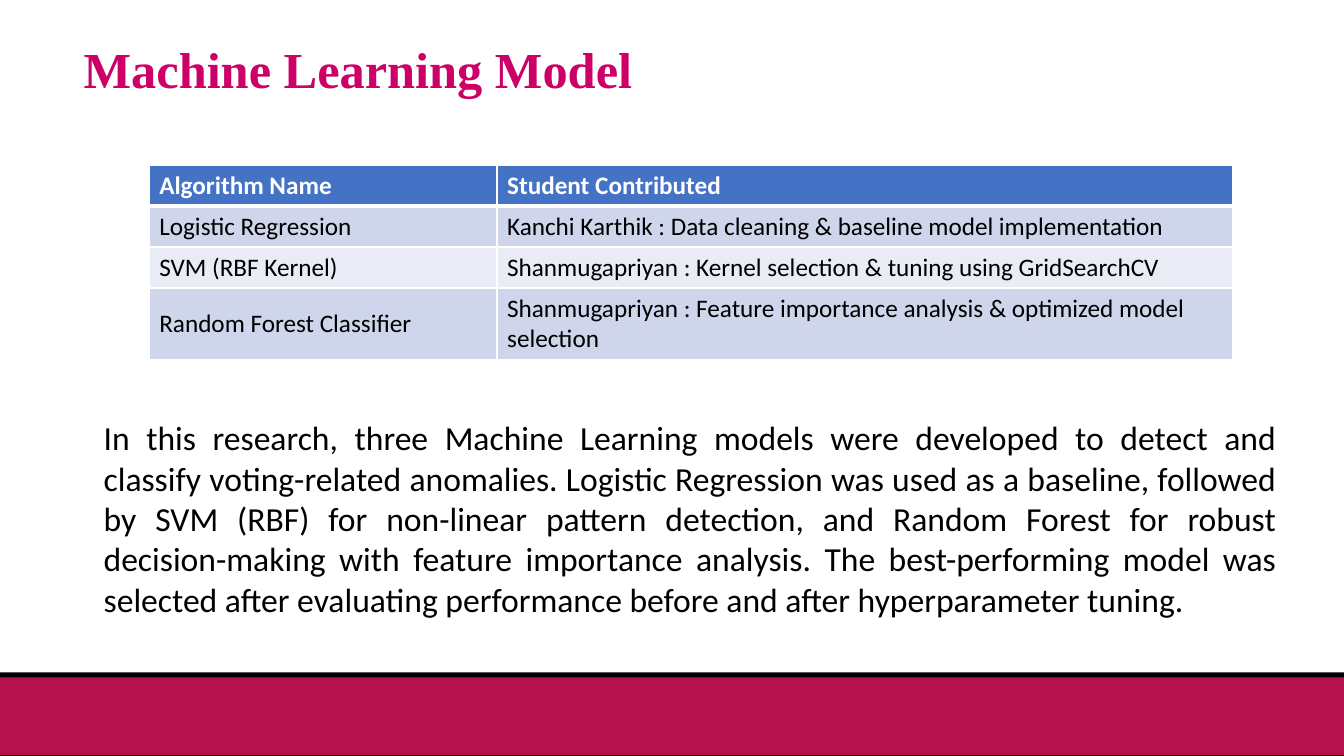
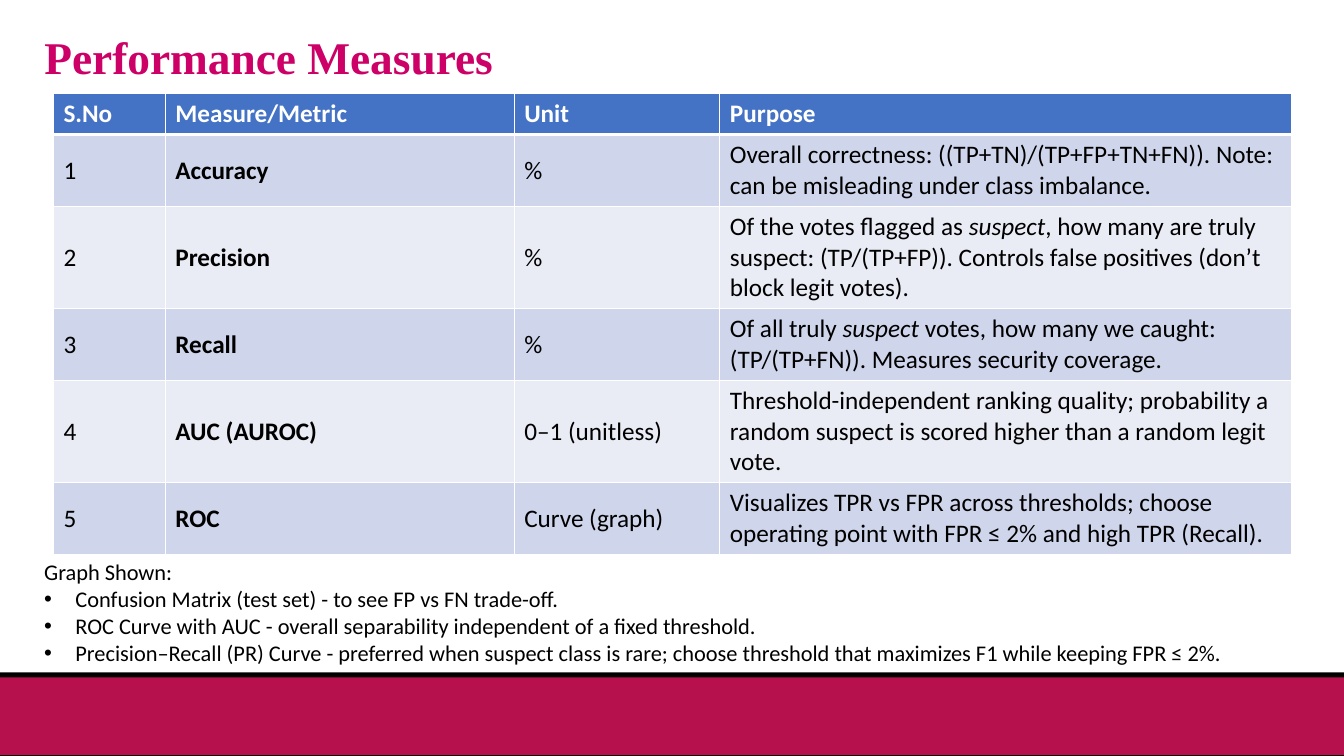
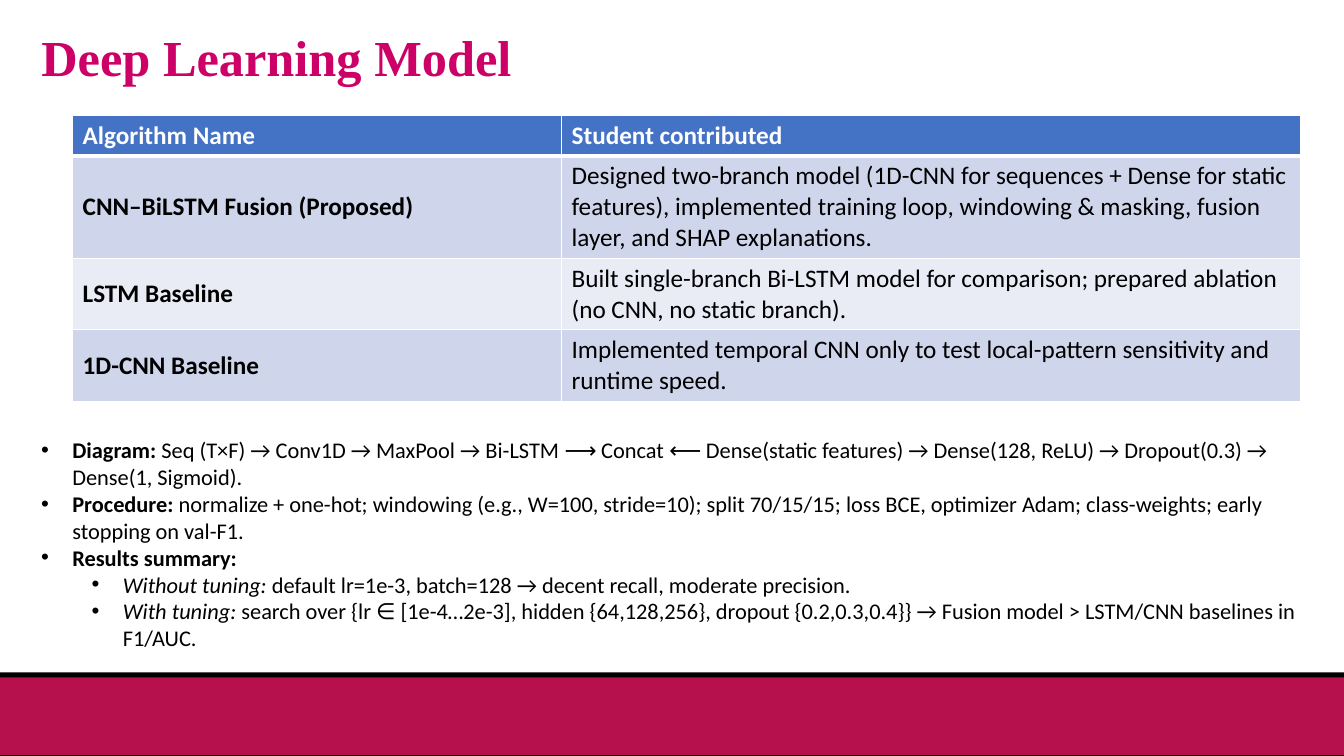
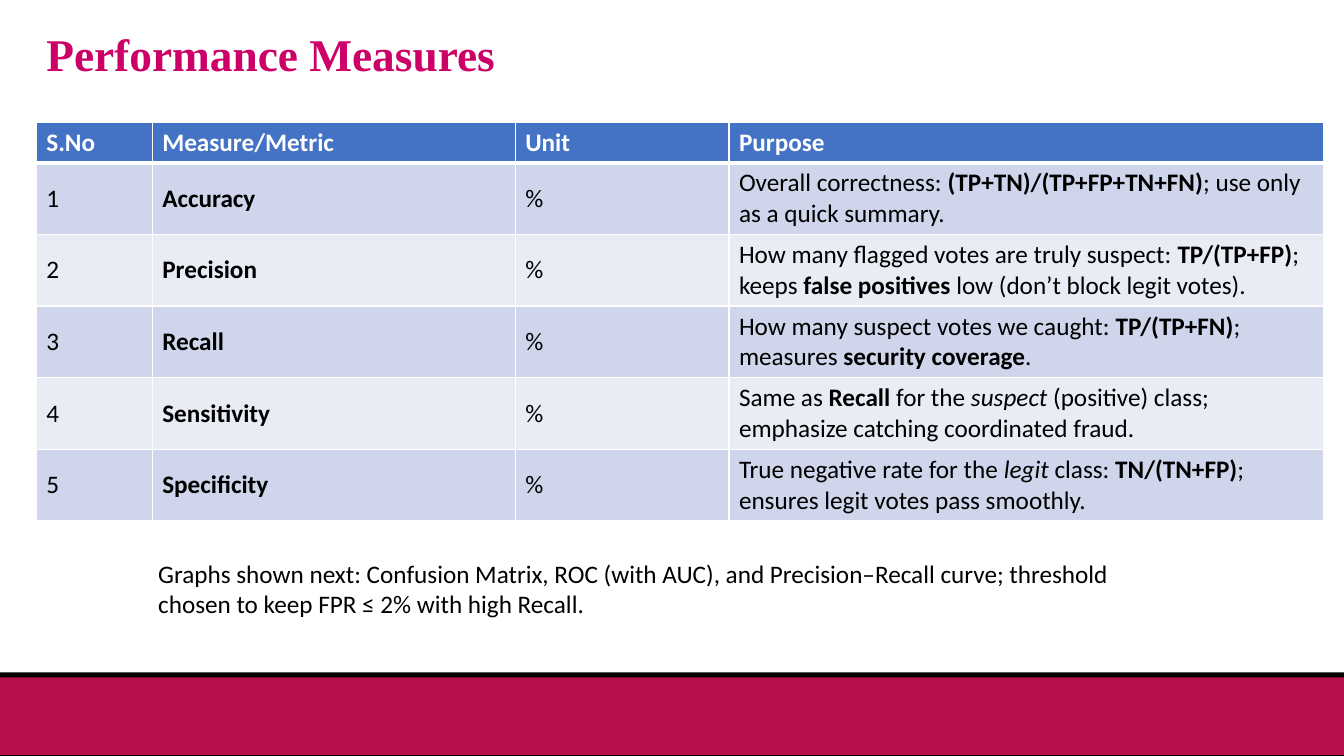
from lxml import etree
from pptx import Presentation
from pptx import util as u
from pptx.dml.color import RGBColor
from pptx.enum import shapes, text
from pptx.oxml import ns

COLOURS = {
    "title": "CC0066",
    "rule": "000000",
    "band": "B6114D",
    "header": "4472C4",
    "odd": "CFD5EA",
    "even": "E9EBF5",
    "white": "FFFFFF",
    "text": "000000",
}
BODY_FONT = "Calibri"
TITLE_FONT = "Times New Roman"
TABLE_SIZE = 18


def colour(name):
    return RGBColor.from_string(COLOURS[name])


class Deck:
    """Holds the shared style and the current slide."""

    def __init__(self):
        self.presentation = Presentation()
        self.presentation.slide_width = u.Inches(13.33)
        self.presentation.slide_height = u.Inches(7.5)
        self.slide = None

    def add_slide(self, title, left, top, height, size):
        first = self.slide is None
        self.slide = self.presentation.slides.add_slide(self.presentation.slide_layouts[5])
        if first:
            self.add_footer()
        shape = self.slide.shapes.title
        shape.left, shape.top = u.Inches(left), u.Inches(top)
        shape.width, shape.height = u.Inches(11.5), u.Inches(height)
        shape.text_frame.vertical_anchor = text.MSO_ANCHOR.MIDDLE
        paragraph = shape.text_frame.paragraphs[0]
        paragraph.alignment = text.PP_ALIGN.LEFT
        paragraph.line_spacing = 0.9
        self.add_words(paragraph, title, size, "title", TITLE_FONT, bold=True)

    def add_footer(self):
        """Draw the footer bands and move them to the master, behind all else."""
        tree = self.presentation.slide_master.element.cSld.spTree
        bands = (("rule", 6.67, 0.84), ("band", 6.72, 0.77))
        for position, (name, top, height) in enumerate(bands, start=2):
            shape = self.slide.shapes.add_shape(
                shapes.MSO_SHAPE.RECTANGLE, 0, u.Inches(top),
                self.presentation.slide_width, u.Inches(height))
            shape.shadow.inherit = False
            shape.fill.solid()
            shape.fill.fore_color.rgb = colour(name)
            shape.line.fill.background()
            tree.insert(position, shape.element)

    def add_words(self, paragraph, words, size, ink="text", font=BODY_FONT, bold=False):
        """Fill a paragraph; *stars* mark bold and _underscores_ mark italic."""
        paragraph.font.name = font
        paragraph.font.size = u.Pt(size)
        paragraph.font.color.rgb = colour(ink)
        paragraph.font.bold = bold
        for star, part in enumerate(words.split("*")):
            for underscore, piece in enumerate(part.split("_")):
                if piece:
                    run = paragraph.add_run()
                    run.text = piece
                    if star % 2:
                        run.font.bold = True
                    if underscore % 2:
                        run.font.italic = True

    def add_text(self, left, top, width, height, lines, size, alignment=None):
        """Each line is (words, bullet level), with None for no bullet."""
        box = self.slide.shapes.add_textbox(
            u.Inches(left), u.Inches(top), u.Inches(width), u.Inches(height))
        frame = box.text_frame
        frame.word_wrap = True
        frame.auto_size = text.MSO_AUTO_SIZE.SHAPE_TO_FIT_TEXT
        for number, (words, level) in enumerate(lines):
            paragraph = frame.add_paragraph() if number else frame.paragraphs[0]
            paragraph.alignment = alignment
            self.add_words(paragraph, words, size)
            if level is not None:
                self.add_bullet(paragraph, level)

    def add_bullet(self, paragraph, level):
        paragraph.level = level
        properties = paragraph._p.get_or_add_pPr()
        properties.set("marL", str(u.Inches(0.31 + 0.5 * level)))
        properties.set("indent", str(-u.Inches(0.31)))
        font = etree.Element(ns.qn("a:buFont"), typeface="Arial")
        mark = etree.Element(ns.qn("a:buChar"), char="•")
        properties.insert(0, font)
        font.addnext(mark)

    def add_table(self, left, top, widths, line_counts, rows):
        """The first row is the header; line_counts sets the row heights."""
        heights = [u.Inches(0.1 + 0.305 * count) for count in line_counts]
        table = self.slide.shapes.add_table(
            len(rows), len(widths), u.Inches(left), u.Inches(top),
            u.Inches(sum(widths)), sum(heights)).table
        for column, width in zip(table.columns, widths):
            column.width = u.Inches(width)
        for row_number, (row, height, values) in enumerate(zip(table.rows, heights, rows)):
            row.height = height
            header = row_number == 0
            fill = "header" if header else "odd" if row_number % 2 else "even"
            for cell, value in zip(row.cells, values):
                cell.vertical_anchor = text.MSO_ANCHOR.MIDDLE
                self.add_borders(cell, row_number)
                cell.fill.solid()
                cell.fill.fore_color.rgb = colour(fill)
                self.add_words(cell.text_frame.paragraphs[0], value, TABLE_SIZE,
                               "white" if header else "text", bold=header)

    def add_borders(self, cell, row_number):
        """White hairlines, with a thick line under the header."""
        thick = {0: "lnB", 1: "lnT"}.get(row_number)
        properties = cell._tc.get_or_add_tcPr()
        for side in ("lnL", "lnR", "lnT", "lnB"):
            width = u.Pt(3 if side == thick else 1)
            line = etree.SubElement(properties, ns.qn("a:" + side), w=str(width))
            fill = etree.SubElement(line, ns.qn("a:solidFill"))
            etree.SubElement(fill, ns.qn("a:srgbClr"), val=COLOURS["white"])


METRIC_HEADER = ("S.No", "Measure/Metric", "Unit", "Purpose")


def metric_rows(metrics):
    """Number the metrics and set their names in bold."""
    numbered = [(str(number), f"*{name}*", unit, purpose)
                for number, (name, unit, purpose) in enumerate(metrics, start=1)]
    return [METRIC_HEADER] + numbered


def main():
    deck = Deck()

    # Machine learning models
    deck.add_slide("Machine Learning Model", 0.73, 0.35, 0.74, 36)
    deck.add_table(1.48, 1.64, (3.45, 7.3), (1, 1, 1, 2), [
        ("Algorithm Name", "Student Contributed"),
        ("Logistic Regression",
         "Kanchi Karthik : Data cleaning & baseline model implementation"),
        ("SVM (RBF Kernel)",
         "Shanmugapriyan : Kernel selection & tuning using GridSearchCV"),
        ("Random Forest Classifier",
         "Shanmugapriyan : Feature importance analysis & optimized model selection"),
    ])
    deck.add_text(0.93, 4.09, 11.83, 2.12, [
        ("In this research, three Machine Learning models were developed to detect and "
         "classify voting-related anomalies. Logistic Regression was used as a baseline, "
         "followed by SVM (RBF) for non-linear pattern detection, and Random Forest for "
         "robust decision-making with feature importance analysis. The best-performing "
         "model was selected after evaluating performance before and after "
         "hyperparameter tuning.", None),
    ], 24, text.PP_ALIGN.JUSTIFY)

    # Measures for the machine learning models
    deck.add_slide("Performance Measures", 0.34, 0.3, 0.58, 32.4)
    deck.add_table(0.53, 0.93, (1.11, 3.46, 2.04, 5.67), (1, 2, 3, 2, 3, 2), metric_rows([
        ("Accuracy", "%", "Overall correctness: ((TP+TN)/(TP+FP+TN+FN)). Note: can be "
         "misleading under class imbalance."),
        ("Precision", "%", "Of the votes flagged as _suspect_, how many are truly suspect: "
         "(TP/(TP+FP)). Controls false positives (don’t block legit votes)."),
        ("Recall", "%", "Of all truly _suspect_ votes, how many we caught: (TP/(TP+FN)). "
         "Measures security coverage."),
        ("AUC (AUROC)", "0–1 (unitless)", "Threshold-independent ranking quality; "
         "probability a random suspect is scored higher than a random legit vote."),
        ("ROC", "Curve (graph)", "Visualizes TPR vs FPR across thresholds; choose "
         "operating point with FPR ≤ 2% and high TPR (Recall)."),
    ]))
    deck.add_text(0.34, 5.49, 13.09, 1.18, [
        ("Graph Shown:", None),
        ("Confusion Matrix (test set) - to see FP vs FN trade-off.", 0),
        ("ROC Curve with AUC - overall separability independent of a fixed threshold.", 0),
        ("Precision–Recall (PR) Curve - preferred when suspect class is rare; choose "
         "threshold that maximizes F1 while keeping FPR ≤ 2%.", 0),
    ], 16)

    # Deep learning models
    deck.add_slide("Deep Learning Model", 0.31, 0.23, 0.74, 36)
    deck.add_table(0.72, 1.14, (4.85, 7.33), (1, 3, 2, 2), [
        ("Algorithm Name", "Student contributed"),
        ("*CNN–BiLSTM Fusion (Proposed)*",
         "Designed two-branch model (1D-CNN for sequences + Dense for static features), "
         "implemented training loop, windowing & masking, fusion layer, and SHAP "
         "explanations."),
        ("*LSTM Baseline*",
         "Built single-branch Bi-LSTM model for comparison; prepared ablation (no CNN, no "
         "static branch)."),
        ("*1D-CNN Baseline*",
         "Implemented temporal CNN only to test local-pattern sensitivity and runtime speed."),
    ])
    deck.add_text(0.31, 4.28, 12.93, 2.26, [
        ("*Diagram: *Seq (T×F) → Conv1D → MaxPool → Bi-LSTM ⟶ Concat ⟵ Dense(static "
         "features) → Dense(128, ReLU) → Dropout(0.3) → Dense(1, Sigmoid).", 0),
        ("*Procedure:* normalize + one-hot; windowing (e.g., W=100, stride=10); split "
         "70/15/15; loss BCE, optimizer Adam; class-weights; early stopping on val-F1.", 0),
        ("*Results summary:*", 0),
        ("_Without tuning:_ default lr=1e-3, batch=128 → decent recall, moderate "
         "precision.", 1),
        ("_With tuning:_ search over {lr ∈ [1e-4…2e-3], hidden {64,128,256}, dropout "
         "{0.2,0.3,0.4}} → Fusion model > LSTM/CNN baselines in F1/AUC.", 1),
    ], 16)

    # Measures for the deep learning models
    deck.add_slide("Performance Measures", 0.36, 0.27, 0.58, 32.4)
    deck.add_table(0.36, 1.21, (1.15, 3.6, 2.12, 5.9), (1, 2, 2, 2, 2, 2), metric_rows([
        ("Accuracy", "%",
         "Overall correctness: *(TP+TN)/(TP+FP+TN+FN)*; use only as a quick summary."),
        ("Precision", "%", "How many flagged votes are truly suspect: *TP/(TP+FP)*; keeps "
         "*false positives* low (don’t block legit votes)."),
        ("Recall", "%",
         "How many suspect votes we caught: *TP/(TP+FN)*; measures *security coverage*."),
        ("Sensitivity", "%", "Same as *Recall* for the _suspect_ (positive) class; "
         "emphasize catching coordinated fraud."),
        ("Specificity", "%", "True negative rate for the _legit_ class: *TN/(TN+FP)*; "
         "ensures legit votes pass smoothly."),
    ]))
    deck.add_text(1.47, 5.49, 10.39, 0.71, [
        ("Graphs shown next: Confusion Matrix, ROC (with AUC), and Precision–Recall curve; "
         "threshold chosen to keep FPR ≤ 2% with high Recall.", None),
    ], 18)

    deck.presentation.save("out.pptx")


if __name__ == "__main__":
    main()
